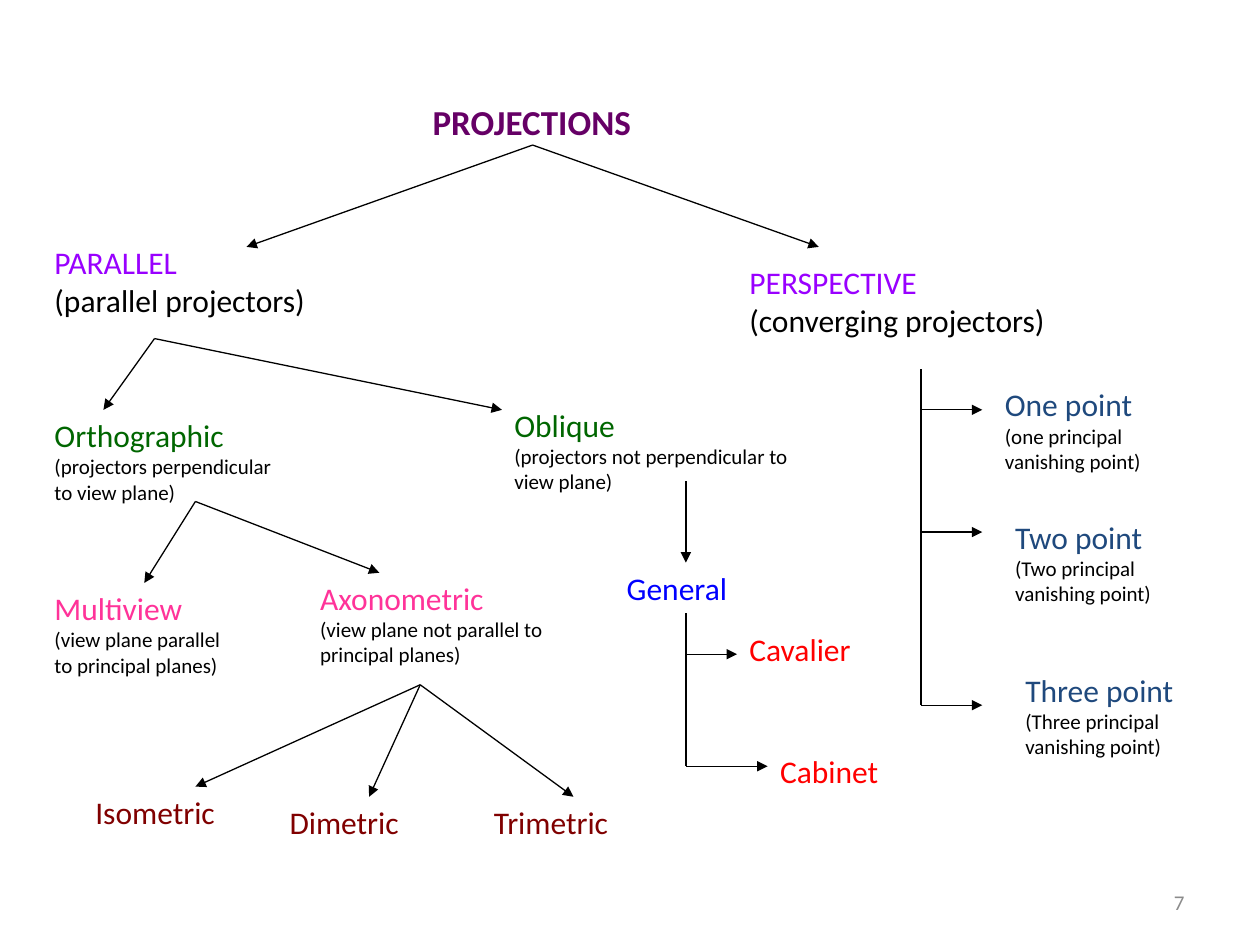
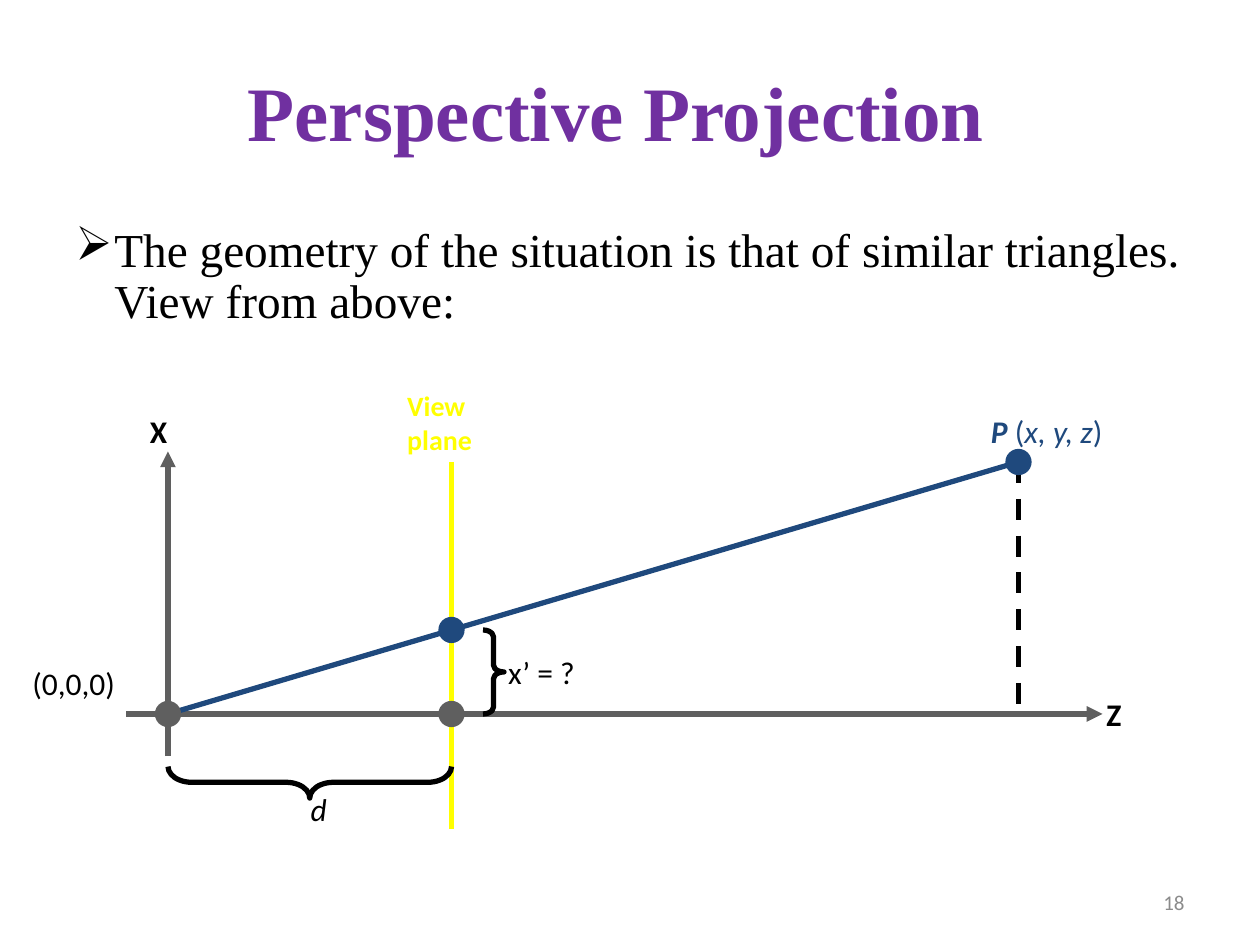
from dataclasses import dataclass

from lxml.etree import SubElement
from pptx import Presentation
from pptx.dml.color import RGBColor
from pptx.enum.dml import MSO_LINE
from pptx.enum.shapes import MSO_CONNECTOR, MSO_SHAPE
from pptx.enum.text import MSO_ANCHOR, PP_ALIGN
from pptx.oxml.ns import qn
from pptx.util import Inches, Pt


@dataclass(frozen=True)
class Theme:
    """Colours, fonts and type sizes shared by the slides."""
    sans: str = "Calibri"
    serif: str = "Times New Roman"
    black: str = "000000"
    grey: str = "5F5F5F"
    page_grey: str = "8B8B8B"
    navy: str = "1F497D"
    yellow: str = "FFFF00"
    title_purple: str = "7030A0"
    root: str = "660066"
    family: str = "9900FF"
    branch: str = "006600"
    view: str = "FF3399"
    general: str = "0000FF"
    oblique_kind: str = "FF0000"
    axonometric_kind: str = "800000"
    title_size: int = 44
    body_size: int = 27
    root_size: int = 20
    label_size: int = 18
    plane_size: int = 16
    note_size: int = 12
    thin: float = 0.75
    thick: float = 3


@dataclass(frozen=True)
class Grid:
    """Columns and rows across the slide, with an origin in inches."""
    columns: float
    rows: float
    left: float = 0
    top: float = 0


TREE_GRID = Grid(123.3, 92.8, 0.01, 0.02)
GEOMETRY_GRID = Grid(120, 90)
PAGE_GRID = Grid(1, 1)


class Sketcher:
    """Draws styled elements on the current slide."""

    def __init__(self, deck, theme):
        """Keep the deck and its theme."""
        self.deck = deck
        self.theme = theme
        self.page = None
        self.grid = PAGE_GRID

    def new_page(self, grid, number):
        """Start a blank slide with its page number."""
        self.page = self.deck.slides.add_slide(self.deck.slide_layouts[6])
        self.grid = PAGE_GRID
        theme = self.theme
        self.text((0.72, 0.93, 0.23, 0.05), str(number), theme.note_size,
                  theme.page_grey, align=PP_ALIGN.RIGHT, anchor=MSO_ANCHOR.MIDDLE)
        self.grid = grid

    def size(self, columns, rows):
        """Turn a count of columns and rows into lengths."""
        return (round(self.deck.slide_width * columns / self.grid.columns),
                round(self.deck.slide_height * rows / self.grid.rows))

    def point(self, column, row):
        """Turn a grid position into slide coordinates."""
        across, down = self.size(column, row)
        return across + Inches(self.grid.left), down + Inches(self.grid.top)

    def frame(self, area):
        """Turn a grid area into left, top, width and height."""
        return *self.point(*area[:2]), *self.size(*area[2:])

    def style(self, span, size, colour, font=None, bold=False, italic=False):
        """Format one run."""
        span.font.name = font or self.theme.sans
        span.font.size = Pt(size)
        span.font.bold = bold
        span.font.italic = italic
        span.font.color.rgb = RGBColor.from_string(colour)

    def text(self, area, words, size, colour, align=PP_ALIGN.LEFT,
             anchor=MSO_ANCHOR.TOP, wrap=True, **looks):
        """Place a text box with one styled paragraph."""
        box = self.page.shapes.add_textbox(*self.frame(area))
        box.text_frame.word_wrap = wrap
        box.text_frame.vertical_anchor = anchor
        para = box.text_frame.paragraphs[0]
        para.text = words
        para.alignment = align
        for span in para.runs:
            self.style(span, size, colour, **looks)
        return box

    def node(self, area, name, colour, note=None, note_size=None):
        """Place a tree label with an optional explanation below."""
        theme = self.theme
        box = self.text(area, name, theme.label_size, colour)
        if note:
            para = box.text_frame.add_paragraph()
            para.text = note
            self.style(para.runs[0], note_size or theme.note_size, theme.black)

    def label(self, area, words, colour=None, size=None, **looks):
        """Place an unwrapped diagram label."""
        theme = self.theme
        return self.text(area, words, size or theme.label_size, colour or theme.black,
                         anchor=MSO_ANCHOR.MIDDLE, wrap=False, **looks)

    def bullet(self, area, words, mark):
        """Place a bulleted body paragraph."""
        theme = self.theme
        box = self.text(area, words, theme.body_size, theme.black, font=theme.serif)
        para = box.text_frame.paragraphs[0]
        para.line_spacing = 0.9
        properties = para._p.get_or_add_pPr()
        indent = Inches(0.31)
        properties.set("marL", str(indent))
        properties.set("indent", str(-indent))
        SubElement(properties, qn("a:buChar"), char=mark)

    def line(self, start, end, colour=None, weight=None, arrow=False, dashed=False):
        """Draw a straight line or arrow."""
        connector = self.page.shapes.add_connector(
            MSO_CONNECTOR.STRAIGHT, *self.point(*start), *self.point(*end))
        connector.line.color.rgb = RGBColor.from_string(colour or self.theme.black)
        connector.line.width = Pt(weight or self.theme.thin)
        if dashed:
            connector.line.dash_style = MSO_LINE.DASH
        properties = connector.element.spPr
        if arrow:
            SubElement(properties.find(qn("a:ln")), qn("a:tailEnd"), type="triangle")
        SubElement(properties, qn("a:effectLst"))

    def fan(self, start, *ends):
        """Draw arrows from one point to several."""
        for end in ends:
            self.line(start, end, arrow=True)

    def comb(self, column, top, *teeth):
        """Draw a vertical stem with an arrow for each tooth."""
        self.line((column, top), (column, teeth[-1][1]))
        for tooth in teeth:
            self.line((column, tooth[1]), tooth, arrow=True)

    def shape(self, kind, area, colour):
        """Draw an unfilled, thickly outlined shape."""
        shape = self.page.shapes.add_shape(kind, *self.frame(area))
        shape.shadow.inherit = False
        shape.fill.background()
        shape.line.color.rgb = RGBColor.from_string(colour)
        shape.line.width = Pt(self.theme.thick)
        return shape

    def dot(self, centre, colour):
        """Mark a point with a filled circle."""
        column, row = centre
        circle = self.shape(MSO_SHAPE.OVAL, (column - 1, row - 1, 2, 2), colour)
        circle.fill.solid()
        circle.fill.fore_color.rgb = RGBColor.from_string(colour)

    def brace(self, kind, area, curl, rotation=0):
        """Draw a curly brace."""
        brace = self.shape(kind, area, self.theme.black)
        brace.adjustments[0] = curl
        brace.rotation = rotation


def draw_projection_tree(sketch):
    """Draw the classification of projections."""
    theme = sketch.theme
    sketch.new_page(TREE_GRID, 7)
    sketch.text((41, 9, 27, 9), "PROJECTIONS", theme.root_size, theme.root, bold=True)

    families = (((4, 23, 29, 14), "PARALLEL", "(parallel projectors)"),
                ((72, 25, 34, 14), "PERSPECTIVE", "(converging projectors)"))
    for area, name, note in families:
        sketch.node(area, name, theme.family, note, theme.label_size)

    explained = (
        ((4, 40, 25, 13), "Orthographic", theme.branch,
         "(projectors perpendicular to view plane)"),
        ((49, 39, 33, 11), "Oblique", theme.branch,
         "(projectors not perpendicular to view plane)"),
        ((4, 57, 20, 13), "Multiview", theme.view,
         "(view plane parallel to principal planes)"),
        ((30, 56, 25, 13), "Axonometric", theme.view,
         "(view plane not parallel to principal planes)"),
    )
    for node in explained:
        sketch.node(*node)

    points = (("One", "one", 37), ("Two", "Two", 50), ("Three", "Three", 65))
    for step, (count, noted, row) in enumerate(points):
        sketch.node((97 + step, row, 18, 13), f"{count} point", theme.navy,
                    f"({noted} principal vanishing point)")

    leaves = (((60, 55, 16, 5), "General", theme.general),
              ((72, 61, 15, 9), "Cavalier", theme.oblique_kind),
              ((75, 73, 14, 9), "Cabinet", theme.oblique_kind),
              ((8, 77, 16, 9), "Isometric", theme.axonometric_kind),
              ((27, 78, 16, 5), "Dimetric", theme.axonometric_kind),
              ((47, 78, 16, 5), "Trimetric", theme.axonometric_kind))
    for leaf in leaves:
        sketch.node(*leaf)

    sketch.fan((52, 14), (24, 24), (80, 24))
    sketch.fan((15, 33), (10, 40), (49, 40))
    sketch.fan((19, 49), (14, 57), (37, 56))
    sketch.fan((41, 67), (19, 77), (36, 78), (56, 78))
    sketch.fan((67, 47), (67, 55))
    sketch.comb(67, 60, (72, 64), (75, 75))
    sketch.comb(90, 36, (96, 40), (96, 52), (96, 69))


def draw_perspective_geometry(sketch):
    """Draw the similar triangles seen from above."""
    theme = sketch.theme
    sketch.new_page(GEOMETRY_GRID, 18)
    sketch.text((10.2, 3, 97, 15), "Perspective Projection", theme.title_size,
                theme.title_purple, align=PP_ALIGN.CENTER, anchor=MSO_ANCHOR.MIDDLE,
                font=theme.serif, bold=True)
    sketch.bullet((6, 21, 108, 59.4), "The geometry of the situation is that of "
                  "similar triangles. View from above:", "➢")

    origin, target = (16, 68), (97, 44)
    plane_column = 43
    image, foot = (plane_column, 60), (plane_column, 68)
    thick = theme.thick
    sketch.line(target, (97, 68), theme.black, thick, dashed=True)
    sketch.line((12, 68), (105, 68), theme.grey, thick, arrow=True)
    sketch.line((16, 72), (16, 43), theme.grey, thick, arrow=True)
    sketch.line((plane_column, 44), (plane_column, 79), theme.yellow, thick)
    sketch.line(origin, target, theme.navy, thick)
    for centre, colour in ((target, theme.navy), (image, theme.navy),
                           (foot, theme.grey), (origin, theme.grey)):
        sketch.dot(centre, colour)
    sketch.brace(MSO_SHAPE.LEFT_BRACE, (28, 61, 3, 27), 0.75, 270)
    sketch.brace(MSO_SHAPE.RIGHT_BRACE, (46, 60, 2, 8), 0.33)

    sketch.label((28.4, 74.6, 4.2, 4.8), "d", italic=True)
    sketch.label((13.1, 38.6, 4.7, 4.8), "X", bold=True)
    sketch.label((104.2, 65.6, 4.6, 4.8), "Z", bold=True)
    sketch.label((37.6, 36.4, 10.7, 7.6), "View\vplane", theme.yellow,
                 theme.plane_size, bold=True)
    sketch.label((1.9, 62.6, 12.4, 4.8), "(0,0,0)")
    sketch.label((47.2, 61.6, 11.2, 4.8), "x’ = ?")
    box = sketch.label((93.2, 38.6, 16.7, 4.8), "P ", theme.navy, bold=True, italic=True)
    for words, italic in (("(", False), ("x, y, z", True), (")", False)):
        span = box.text_frame.paragraphs[0].add_run()
        span.text = words
        sketch.style(span, theme.label_size, theme.navy, italic=italic)


def main():
    """Build and save the deck."""
    deck = Presentation()
    deck.slide_width = Inches(10)
    deck.slide_height = Inches(7.5)
    sketch = Sketcher(deck, Theme())
    draw_projection_tree(sketch)
    draw_perspective_geometry(sketch)
    deck.save("out.pptx")


if __name__ == "__main__":
    main()
